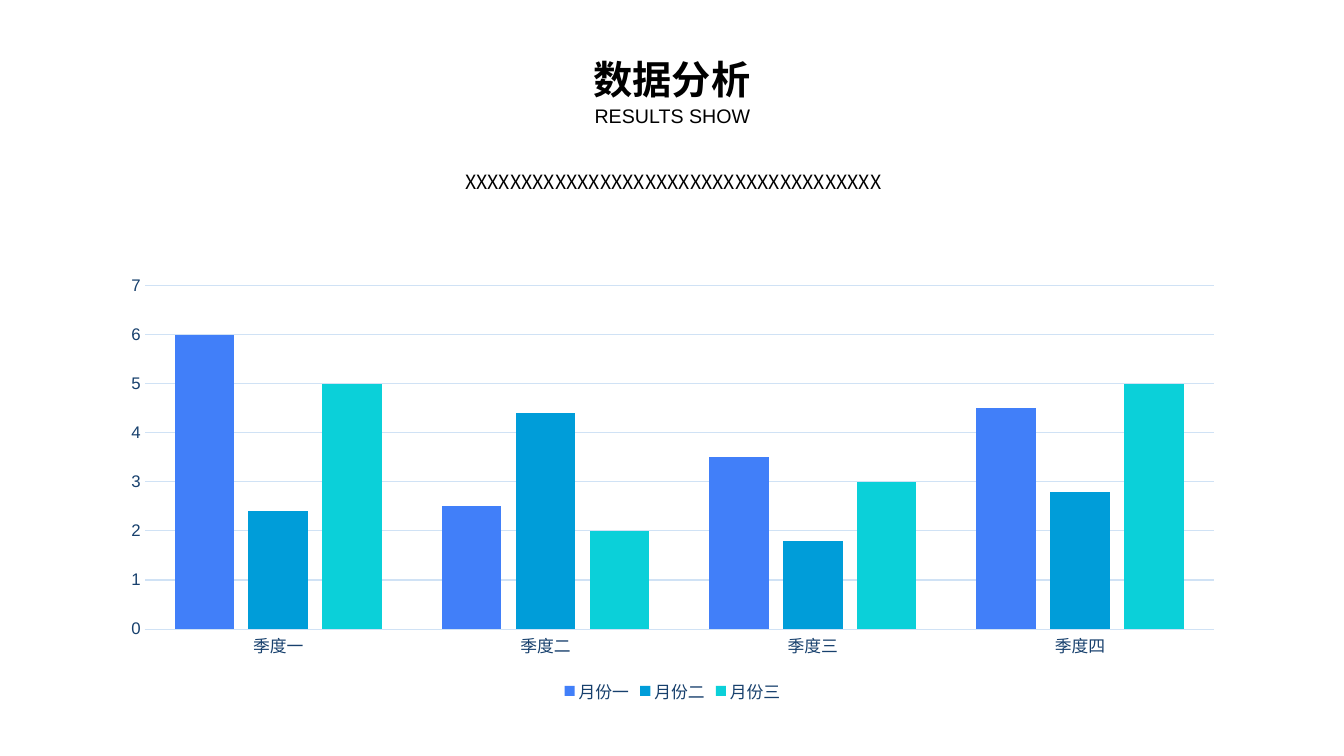
from lxml import etree
from pptx import Presentation
from pptx.chart.data import CategoryChartData
from pptx.dml.color import RGBColor
from pptx.enum import chart as chart_enum, text as text_enum
from pptx.oxml import ns
from pptx.util import Inches, Pt

COLORS = {"text": "000000", "label": "17406D", "grid": "D0E2F5"}
LATIN, CJK = "Arial", "Noto Sans CJK SC"
QUARTERS = ["季度一", "季度二", "季度三", "季度四"]
MONTHS = [
    ("月份一", (6, 2.5, 3.5, 4.5), "417FF9"),
    ("月份二", (2.4, 4.4, 1.8, 2.8), "009DD9"),
    ("月份三", (5, 2, 3, 5), "0BD0D9"),
]


def style_font(font, name, size, color, bold=False):
    """Set typeface, size, colour and weight of a font."""
    font.name, font.size, font.bold = name, Pt(size), bold
    font.color.rgb = RGBColor.from_string(COLORS[color])


def style_line(line):
    """Give an axis or gridline the pale thin stroke."""
    line.color.rgb = RGBColor.from_string(COLORS["grid"])
    line.width = Pt(0.75)


def add_heading(slide, box, content, name, size, bold=False, spacing=1.0):
    """Add one centred line of text."""
    shape = slide.shapes.add_textbox(*map(Inches, box))
    frame = shape.text_frame
    frame.text = content
    frame.word_wrap = True
    frame.auto_size = text_enum.MSO_AUTO_SIZE.SHAPE_TO_FIT_TEXT
    paragraph = frame.paragraphs[0]
    paragraph.alignment = text_enum.PP_ALIGN.CENTER
    paragraph.line_spacing = spacing
    run = paragraph.runs[0]
    style_font(run.font, name, size, "text", bold)
    latin = run.font._element.find(ns.qn("a:latin"))
    east_asian = etree.Element(ns.qn("a:ea"), typeface=name)
    latin.addnext(east_asian)


def style_axis(axis):
    """Remove tick marks and set the label font of an axis."""
    axis.major_tick_mark = axis.minor_tick_mark = chart_enum.XL_TICK_MARK.NONE
    style_font(axis.tick_labels.font, LATIN, 12, "label")


def add_column_chart(slide, box):
    """Add the clustered columns of months by quarter."""
    data = CategoryChartData()
    data.categories = QUARTERS
    for name, values, _ in MONTHS:
        data.add_series(name, values)
    kind = chart_enum.XL_CHART_TYPE.COLUMN_CLUSTERED
    chart = slide.shapes.add_chart(kind, *map(Inches, box), data).chart
    chart.has_title = False
    style_font(chart.font, LATIN, 10, "text")

    plot = chart.plots[0]
    plot.gap_width, plot.overlap = 100, -24
    plot.vary_by_categories = False
    for series, (_, _, color) in zip(plot.series, MONTHS):
        series.format.fill.solid()
        series.format.fill.fore_color.rgb = RGBColor.from_string(color)

    style_axis(chart.category_axis)
    style_line(chart.category_axis.format.line)
    value_axis = chart.value_axis
    style_axis(value_axis)
    value_axis.format.line.fill.background()
    style_line(value_axis.major_gridlines.format.line)

    chart.has_legend = True
    chart.legend.position = chart_enum.XL_LEGEND_POSITION.BOTTOM
    chart.legend.include_in_layout = False
    style_font(chart.legend.font, LATIN, 12, "label")


def main():
    """Build the data analysis slide."""
    presentation = Presentation()
    presentation.slide_width = Inches(13.33)
    presentation.slide_height = Inches(7.5)
    slide = presentation.slides.add_slide(presentation.slide_layouts[6])
    add_column_chart(slide, (1.08, 2.66, 11.18, 4.36))
    add_heading(slide, (3.81, 0.5, 5.71, 0.57), "数据分析", CJK, 28, bold=True)
    add_heading(slide, (4.74, 0.98, 3.86, 0.34), "RESULTS SHOW", LATIN, 14)
    add_heading(slide, (2.37, 1.54, 8.62, 0.4), "X" * 37, CJK, 14, spacing=1.4)
    presentation.save("out.pptx")


if __name__ == "__main__":
    main()
